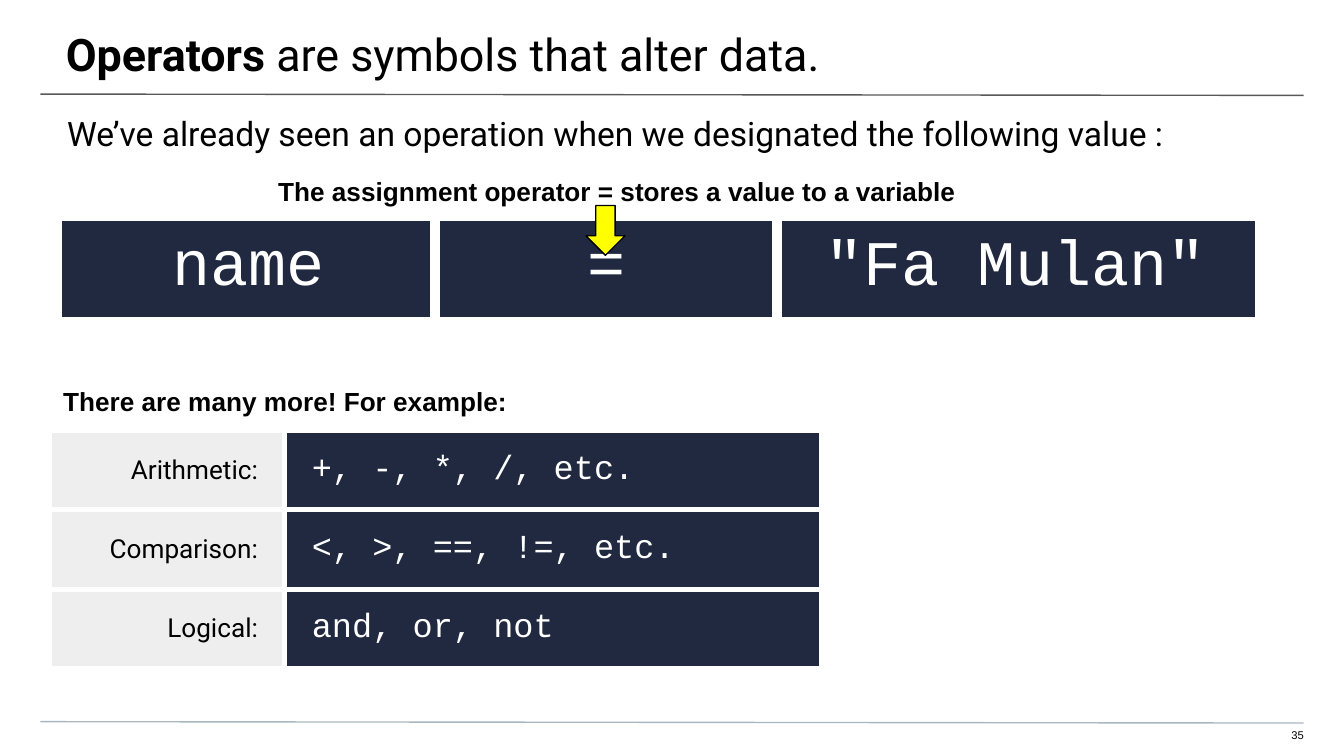
from lxml.etree import SubElement
from pptx import Presentation
from pptx.dml.color import RGBColor
from pptx.enum.shapes import MSO_CONNECTOR, MSO_SHAPE
from pptx.enum.text import MSO_ANCHOR, PP_ALIGN
from pptx.oxml.ns import qn
from pptx.util import Inches, Pt

COLORS = {
    "black": "000000",
    "white": "FFFFFF",
    "navy": "212940",
    "pale": "EEEEEE",
    "yellow": "FFFF00",
    "header_rule": "595959",
    "footer_rule": "A9B7C0",
}


def write_text(holder, paragraph, parts, font_name, size, color, align, margins):
    holder.margin_left, holder.margin_top, holder.margin_right, holder.margin_bottom = map(Inches, margins)
    paragraph.alignment = align
    for text, bold in parts:
        run = paragraph.add_run()
        run.text = text
        run.font.name = font_name
        run.font.size = Pt(size)
        run.font.bold = bold
        run.font.color.rgb = RGBColor.from_string(COLORS[color])


def style_cell(cell, fill, anchor, borders):
    cell.vertical_anchor = anchor
    properties = cell._tc.get_or_add_tcPr()
    for side, width in zip("LRTB", borders):
        line = SubElement(properties, qn(f"a:ln{side}"), w=str(Pt(width)))
        if width:
            solid = SubElement(line, qn("a:solidFill"))
            SubElement(solid, qn("a:srgbClr"), val=COLORS["white"])
        else:
            SubElement(line, qn("a:noFill"))
    if fill:
        cell.fill.solid()
        cell.fill.fore_color.rgb = RGBColor.from_string(COLORS[fill])
    else:
        cell.fill.background()


presentation = Presentation()
presentation.slide_width = Inches(10)
presentation.slide_height = Inches(10 * 9 / 16)
slide = presentation.slides.add_slide(presentation.slide_layouts[6])

for top, color in [(0.7, "header_rule"), (5.37, "footer_rule")]:
    rule = slide.shapes.add_connector(
        MSO_CONNECTOR.STRAIGHT, Inches(0.3), Inches(top), Inches(9.7), Inches(top + 0.01)
    )
    rule.line.color.rgb = RGBColor.from_string(COLORS[color])
    rule.line.width = Pt(0.75)
    SubElement(rule._element.spPr, qn("a:effectLst"))

title_parts = [("Operators", True), (" are symbols that alter data.", False)]
subtitle_parts = [("We’ve already seen an operation when we designated the following value :", False)]
text_boxes = [
    ((-0.01, 0, 10.03, 0.58), title_parts, "Roboto", 24, PP_ALIGN.LEFT, (0.5, 0.2, 0.3, 0.1)),
    ((9.41, 5.42, 0.29, 0.12), [("35", False)], "Arial", 6, PP_ALIGN.RIGHT, (0, 0, 0, 0.1)),
    ((0, 0.74, 10, 0.4), subtitle_parts, "Roboto", 18, PP_ALIGN.LEFT, (0.5, 0.1, 0.5, 0)),
]
for position, parts, font_name, size, align, margins in text_boxes:
    frame = slide.shapes.add_textbox(*map(Inches, position)).text_frame
    frame.word_wrap = True
    write_text(frame, frame.paragraphs[0], parts, font_name, size, "black", align, margins)

tables = []
table_layouts = [
    (0.46, 1.14, [2.78, 2.54, 3.56], [0.5, 0.72],
     "The assignment operator = stores a value to a variable", 1.61, 0.75),
    (0.37, 2.77, [1.75, 3.57, 0.42], [0.41, 0.59, 0.59, 0.59],
     "There are many more! For example:", 0.1, 3),
]
for left, top, widths, heights, heading, indent, border in table_layouts:
    table = slide.shapes.add_table(
        len(heights), len(widths), Inches(left), Inches(top), Inches(sum(widths)), Inches(sum(heights))
    ).table
    table.first_row = False
    table.horz_banding = False
    for column, width in zip(table.columns, widths):
        column.width = Inches(width)
    for row, height in zip(table.rows, heights):
        row.height = Inches(height)
    cell = table.cell(0, 0)
    cell.merge(table.cell(0, 2))
    write_text(cell, cell.text_frame.paragraphs[0], [(heading, True)], "Arial", 14, "black",
               PP_ALIGN.LEFT, (indent, 0.1, 0.1, 0.1))
    style_cell(cell, None, MSO_ANCHOR.BOTTOM, (0, 0, 0, border))
    tables.append(table)

assignment_table, operator_table = tables

assignment_parts = [
    ("name", (0.75, 6, 0.75, 0.75)),
    ("=", (6, 6, 0.75, 0.75)),
    ('"Fa Mulan"', (6, 0.75, 0.75, 0.75)),
]
for column, (text, borders) in enumerate(assignment_parts):
    cell = assignment_table.cell(1, column)
    write_text(cell, cell.text_frame.paragraphs[0], [(text, False)], "Courier New", 34, "white",
               PP_ALIGN.CENTER, (0.1, 0, 0.1, 0))
    style_cell(cell, "navy", MSO_ANCHOR.MIDDLE, borders)

operators = [
    ("Arithmetic:", "+, -, *, /, etc."),
    ("Comparison:", "<, >, ==, !=, etc."),
    ("Logical:", "and, or, not"),
]
operator_styles = [
    ("Roboto", 14, "black", PP_ALIGN.RIGHT, "pale"),
    ("Courier New", 18, "white", PP_ALIGN.LEFT, "navy"),
]
for row, texts in enumerate(operators, start=1):
    operator_table.cell(row, 1).merge(operator_table.cell(row, 2))
    for column, (text, style) in enumerate(zip(texts, operator_styles)):
        font_name, size, color, align, fill = style
        cell = operator_table.cell(row, column)
        write_text(cell, cell.text_frame.paragraphs[0], [(text, False)], font_name, size, color,
                   align, (0.2, 0, 0.2, 0))
        style_cell(cell, fill, MSO_ANCHOR.MIDDLE, (3, 3, 3, 3))

arrow = slide.shapes.add_shape(
    MSO_SHAPE.DOWN_ARROW, Inches(4.36), Inches(1.53), Inches(0.29), Inches(0.37)
)
arrow.shadow.inherit = False
arrow.fill.solid()
arrow.fill.fore_color.rgb = RGBColor.from_string(COLORS["yellow"])
arrow.line.color.rgb = RGBColor.from_string(COLORS["black"])
arrow.line.width = Pt(0.75)

presentation.save("out.pptx")
